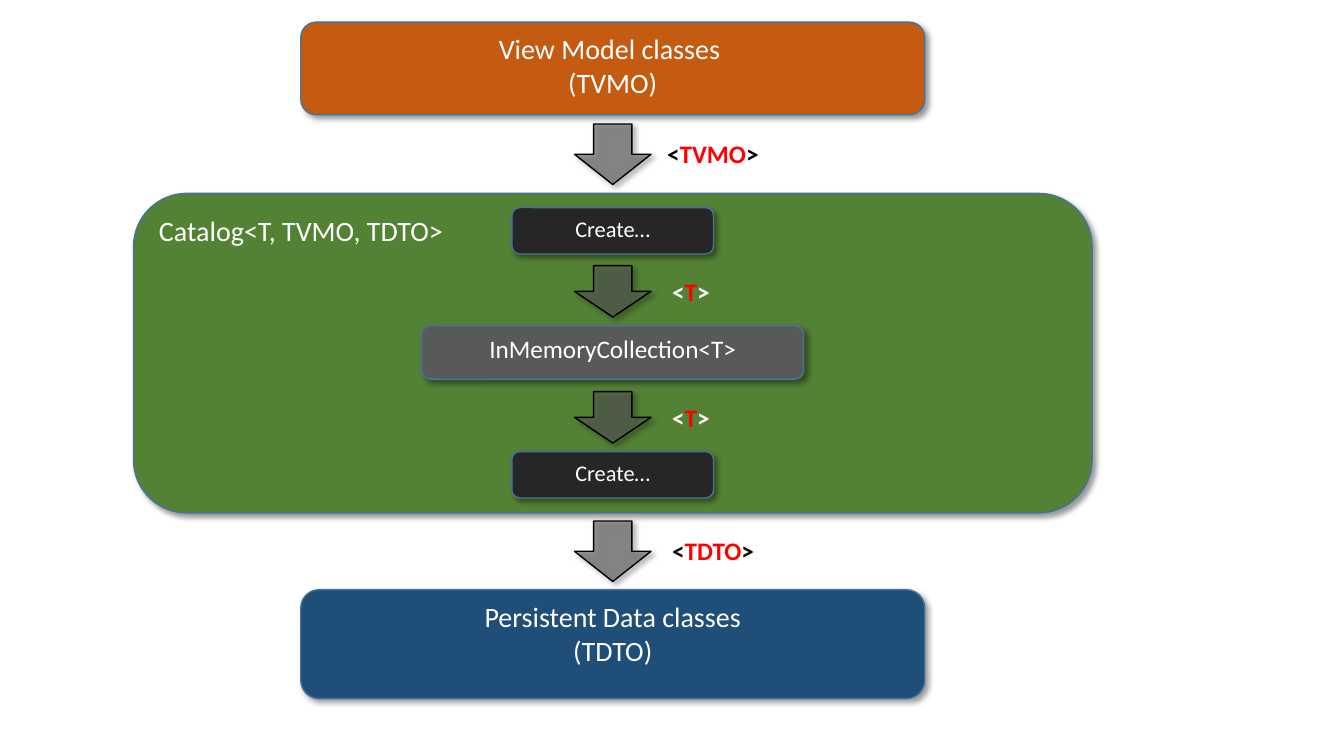
from lxml import etree
from pptx import Presentation
from pptx.dml.color import RGBColor
from pptx.enum.shapes import MSO_SHAPE
from pptx.enum.text import MSO_ANCHOR, MSO_AUTO_SIZE, PP_ALIGN
from pptx.oxml import parse_xml
from pptx.oxml.ns import qn
from pptx.util import Pt

COLORS = {
    "orange": "C55A11", "green": "548235", "blue": "1F4E79",
    "gray": "595959", "dark": "262626", "outline": "43739E",
    "black": "000000", "white": "FFFFFF", "red": "FF0000",
}
SHADOW_XML = (
    '<a:effectLst xmlns:a="http://schemas.openxmlformats.org/drawingml/2006/main">'
    '<a:outerShdw blurRad="50800" dist="38100" dir="2700000" algn="tl" rotWithShape="0">'
    '<a:srgbClr val="000000"><a:alpha val="40000"/></a:srgbClr>'
    '</a:outerShdw></a:effectLst>'
)
CENTER = 437.7


def add_shadowed_shape(kind, left, top, width, height, fill, line):
    """Add a filled, outlined shape with a soft shadow to the lower right."""
    shape = slide.shapes.add_shape(kind, Pt(left), Pt(top), Pt(width), Pt(height))
    shape.fill.solid()
    shape.fill.fore_color.rgb = RGBColor.from_string(COLORS[fill])
    shape.line.color.rgb = RGBColor.from_string(COLORS[line])
    shape.line.width = Pt(1)
    shape._element.spPr.append(parse_xml(SHADOW_XML))
    return shape


def format_run(run, size, color, bold=False):
    run.font.name = "Calibri"
    run.font.size = Pt(size)
    run.font.bold = bold
    run.font.color.rgb = RGBColor.from_string(COLORS[color])


presentation = Presentation()
presentation.slide_width = Pt(960)
presentation.slide_height = Pt(540)
slide = presentation.slides.add_slide(presentation.slide_layouts[6])

# Boxes: text, top, width, height, fill, text size, alignment
boxes = [
    ("Catalog<T, TVMO, TDTO>", 138.2, 684.7, 228.2, "green", 20, PP_ALIGN.LEFT),
    ("View Model classes \n(TVMO)", 15.8, 445.7, 66.2, "orange", 20, PP_ALIGN.CENTER),
    ("InMemoryCollection<T>", 232.6, 272.9, 38.2, "gray", 18, PP_ALIGN.CENTER),
    ("Persistent Data classes\n(TDTO)", 421.2, 445.7, 77.8, "blue", 20, PP_ALIGN.CENTER),
    ("Create…", 148.3, 144, 33.1, "dark", 16, PP_ALIGN.CENTER),
    ("Create…", 322.6, 144, 33.1, "dark", 16, PP_ALIGN.CENTER),
]
for text, top, width, height, fill, size, alignment in boxes:
    box = add_shadowed_shape(MSO_SHAPE.ROUNDED_RECTANGLE, CENTER - width / 2, top,
                             width, height, fill, "outline")
    box.text_frame.vertical_anchor = MSO_ANCHOR.TOP
    box.text_frame.text = text
    for paragraph in box.text_frame.paragraphs:
        paragraph.alignment = alignment
        format_run(paragraph.runs[0], size, "white")

# Arrows with type labels: type, arrow middle, arrow length,
# label left, label width, bracket color
steps = [
    ("TVMO", 110.2, 43.2, 469.4, 80.6, "black"),
    ("T", 208.1, 36.7, 473, 41.8, "white"),
    ("T", 298.1, 36.7, 473, 41.8, "white"),
    ("TDTO", 393.8, 43.2, 473, 73.4, "black"),
]
ARROW_WIDTH = 54.7
for type_name, middle, length, left, width, bracket_color in steps:
    arrow = add_shadowed_shape(MSO_SHAPE.RIGHT_ARROW, CENTER - length / 2,
                               middle - ARROW_WIDTH / 2, length, ARROW_WIDTH,
                               "gray", "black")
    arrow.rotation = 90
    fill_color = arrow._element.spPr.find(qn("a:solidFill")).find(qn("a:srgbClr"))
    etree.SubElement(fill_color, qn("a:alpha")).set("val", "60000")

    label = slide.shapes.add_textbox(Pt(left), Pt(middle - 14.6), Pt(width), Pt(28.8))
    label.text_frame.word_wrap = False
    label.text_frame.auto_size = MSO_AUTO_SIZE.SHAPE_TO_FIT_TEXT
    paragraph = label.text_frame.paragraphs[0]
    for text, color in (("<", bracket_color), (type_name, "red"), (">", bracket_color)):
        run = paragraph.add_run()
        run.text = text
        format_run(run, 18, color, bold=True)

presentation.save("out.pptx")
